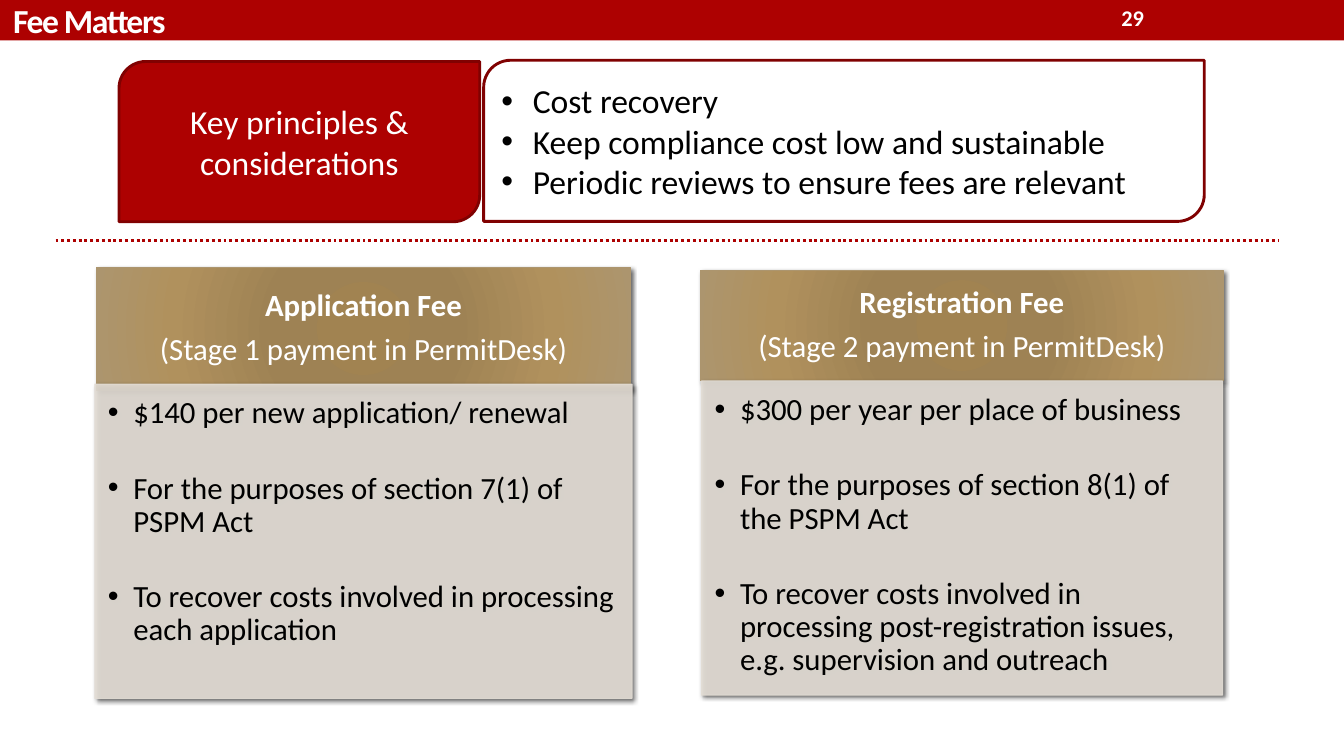
"""Build the Fee Matters slide."""
from lxml import etree
from pptx import Presentation
from pptx.dml.color import RGBColor
from pptx.enum.dml import MSO_LINE
from pptx.enum.shapes import MSO_CONNECTOR, MSO_SHAPE
from pptx.enum.text import MSO_ANCHOR, PP_ALIGN
from pptx.oxml.ns import qn
from pptx.util import Cm, Pt

COLORS = {
    "red": "AD0101", "dark_red": "800101", "white": "FFFFFF", "black": "000000",
    "sand": "E3DDD5", "gold": "AC956E",
}
GOLD_STOPS = [(0, "A18351"), (34, "9E8254"), (70, "B0915D"), (100, COLORS["gold"])]


def rgb(name):
    return RGBColor.from_string(COLORS[name])


def sub(parent, tag, **attrs):
    return etree.SubElement(parent, qn(tag), {k: str(v) for k, v in attrs.items()})


class Deck:
    def __init__(self):
        self.prs = Presentation()
        self.prs.slide_width, self.prs.slide_height = Cm(33.87), Cm(19.05)
        self.slide = self.prs.slides.add_slide(self.prs.slide_layouts[6])
        self.font = "Calibri"

    def shape(self, box, kind=MSO_SHAPE.RECTANGLE, fill=None, line=None, width=0.75):
        sp = self.slide.shapes.add_shape(kind, *map(Cm, box))
        sp.shadow.inherit = False
        if fill:
            sp.fill.solid()
            sp.fill.fore_color.rgb = rgb(fill)
        else:
            sp.fill.background()
        if line:
            sp.line.color.rgb = rgb(line)
            sp.line.width = Pt(width)
        else:
            sp.line.fill.background()
        return sp

    def text(self, sp, lines, size=24, color="white", bold=(), align=PP_ALIGN.LEFT,
             anchor=MSO_ANCHOR.MIDDLE, insets=(0.25, 0.13, 0.25, 0.13),
             gap=0, leading=1, indent=0, tracking=0):
        tf = sp.text_frame
        tf.word_wrap = True
        tf.vertical_anchor = anchor
        tf.margin_left, tf.margin_top, tf.margin_right, tf.margin_bottom = map(Cm, insets)
        for i, line in enumerate(lines):
            p = tf.paragraphs[0] if i == 0 else tf.add_paragraph()
            p.text = line
            p.alignment = align
            p.line_spacing = leading
            if i and gap:
                p.space_before = Pt(gap)
            if indent:
                pPr = p._p.get_or_add_pPr()
                pPr.set("marL", str(Cm(indent)))
                pPr.set("indent", str(-Cm(indent)))
                sub(pPr, "a:buFont", typeface="Arial")
                sub(pPr, "a:buChar", char="•")
            f = p.font
            f.name, f.size, f.bold = self.font, Pt(size), i in bold
            f.color.rgb = rgb(color)
            if tracking:
                f._element.set("spc", str(tracking))

    def label(self, box, line, **style):
        sp = self.slide.shapes.add_textbox(*map(Cm, box))
        self.text(sp, [line], bold=(0,), **style)

    def cast_shadow(self, sp):
        effects = sp._element.spPr.find(qn("a:effectLst"))
        shadow = sub(effects, "a:outerShdw", blurRad=Pt(3), dist=Pt(2), dir=45 * 60000,
                     algn="tl", rotWithShape=0)
        sub(sub(shadow, "a:srgbClr", val=COLORS["black"]), "a:alpha", val=60000)

    def header(self, box, lines):
        sp = self.shape(box, line="gold")
        spPr = sp._element.spPr
        grad = etree.Element(qn("a:gradFill"), rotWithShape="1")
        stops = sub(grad, "a:gsLst")
        for pos, color in GOLD_STOPS:
            sub(sub(stops, "a:gs", pos=pos * 1000), "a:srgbClr", val=color)
        circle = sub(grad, "a:path", path="circle")
        sub(circle, "a:fillToRect", l=100000, t=100000, r=100000, b=100000)
        spPr.replace(spPr.find(qn("a:noFill")), grad)
        self.cast_shadow(sp)
        self.text(sp, lines, size=22, bold=(0,), align=PP_ALIGN.CENTER,
                  insets=(0.43, 0.25, 0.43, 0.25), gap=7.7, leading=0.9)

    def card(self, box, lines):
        sp = self.shape(box, fill="sand", line="sand")
        for color in sp._element.spPr.iter(qn("a:srgbClr")):
            sub(color, "a:alpha", val=90000)
        self.cast_shadow(sp)
        self.text(sp, lines, size=22, color="black", anchor=MSO_ANCHOR.TOP,
                  insets=(0.33, 0.33, 0.43, 0.48), gap=30, leading=0.9, indent=0.64)

    def panel(self, box, lines, fill=None, **style):
        sp = self.shape(box, MSO_SHAPE.ROUND_2_DIAG_RECTANGLE, fill, "dark_red", 2.08)
        self.text(sp, lines, **style)

    def divider(self, left, right, y):
        ln = self.slide.shapes.add_connector(
            MSO_CONNECTOR.STRAIGHT, Cm(left), Cm(y), Cm(right), Cm(y))
        ln.line.color.rgb = rgb("red")
        ln.line.width = Pt(2.08)
        ln.line.dash_style = MSO_LINE.ROUND_DOT
        sub(ln._element.spPr, "a:effectLst")


def main():
    deck = Deck()
    deck.shape((0, 0, 33.87, 1.02), fill="red")
    deck.label((0.08, 0, 18.82, 1.02), "Fee Matters", tracking=-100)
    deck.label((25.12, 0, 3.96, 0.91), "29", size=16, align=PP_ALIGN.RIGHT)

    deck.header((2.44, 6.73, 13.44, 3.1),
                ["Application Fee", "(Stage 1 payment in PermitDesk)"])
    deck.card((2.39, 9.68, 13.54, 7.92), [
        "$140 per new application/ renewal",
        "For the purposes of section 7(1) of PSPM Act",
        "To recover costs involved in processing each application",
    ])
    deck.header((17.65, 6.81, 13.18, 2.79),
                ["Registration Fee", "(Stage 2 payment in PermitDesk)"])
    deck.card((17.68, 9.6, 13.13, 7.92), [
        "$300 per year per place of business",
        "For the purposes of section 8(1) of the PSPM Act",
        "To recover costs involved in processing post-registration issues, "
        "e.g. supervision and outreach",
    ])

    deck.panel((3, 1.55, 9.09, 4.04), ["Key principles & considerations"],
               fill="red", align=PP_ALIGN.CENTER)
    deck.panel((12.19, 1.52, 18.16, 4.06), [
        "Cost recovery",
        "Keep compliance cost low and sustainable",
        "Periodic reviews to ensure fees are relevant",
    ], color="black", indent=0.79)
    deck.divider(1.4, 32.21, 6.05)
    deck.prs.save("out.pptx")


if __name__ == "__main__":
    main()
